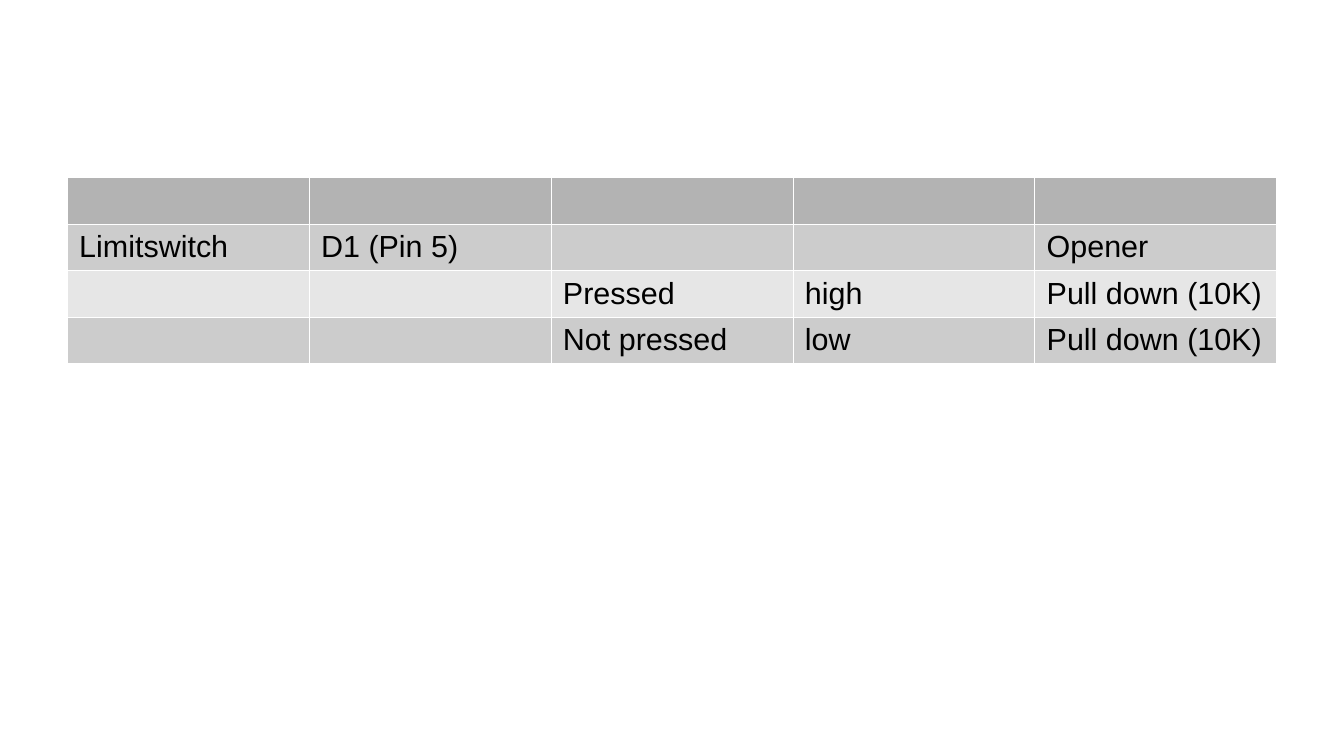
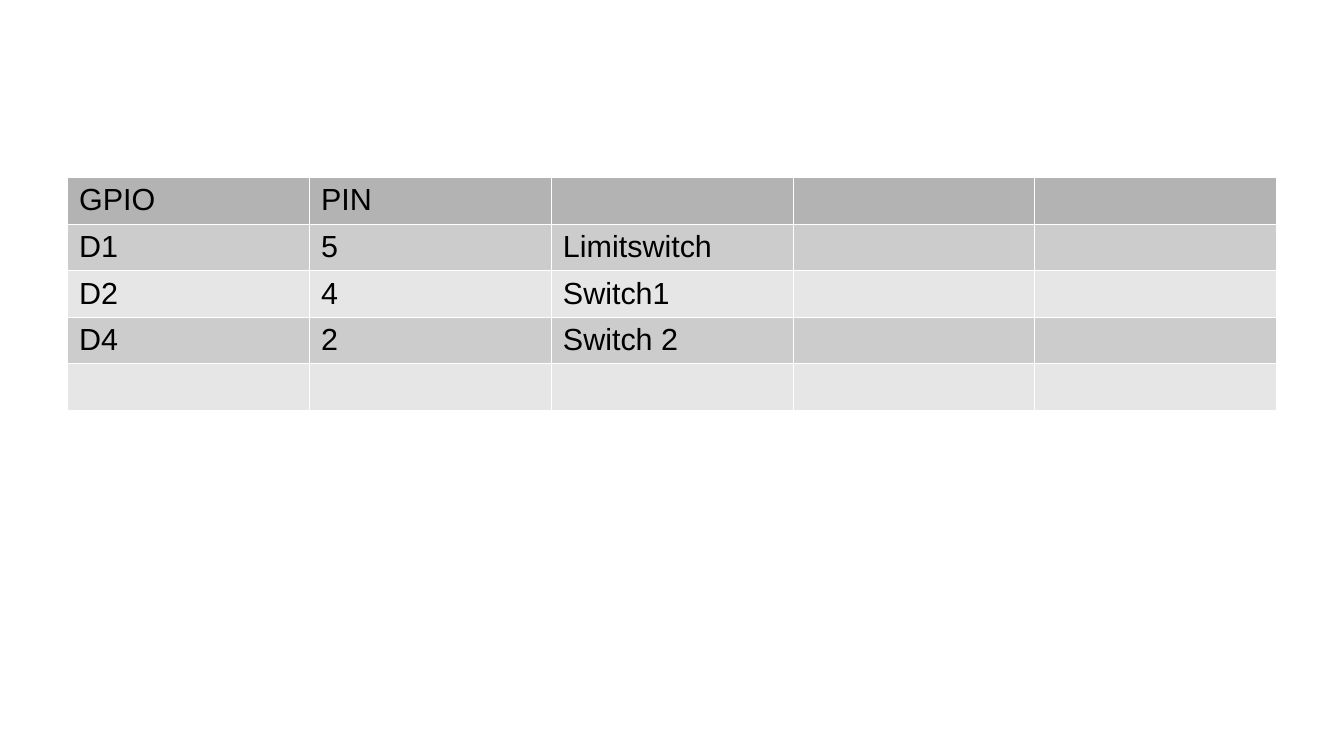
from dataclasses import dataclass

from lxml.etree import SubElement
from pptx import Presentation
from pptx.dml.color import RGBColor
from pptx.oxml.ns import qn
from pptx.presentation import Presentation as Deck
from pptx.table import _Cell as Cell
from pptx.util import Pt

FONT = "Arial"
TEXT_SIZE = 18
BLACK, WHITE = "000000", "FFFFFF"
HEADER_FILL = "B3B3B3"
BAND_FILLS = ("CCCCCC", "E6E6E6")
SLIDE_W, SLIDE_H = 793.7, 446.4
LEFT, TOP = 39.6, 104.6
COL_W, ROW_H = 142.85, 27.5
BORDER_W = 0.06


@dataclass(frozen=True)
class PinTable:
    rows: tuple[tuple[str, ...], ...]


TABLES = (
    PinTable((
        ("", "", "", "", ""),
        ("Limitswitch", "D1 (Pin 5)", "", "", "Opener"),
        ("", "", "Pressed", "high", "Pull down (10K)"),
        ("", "", "Not pressed", "low", "Pull down (10K)"),
    )),
    PinTable((
        ("GPIO", "PIN", "", "", ""),
        ("D1", "5", "Limitswitch", "", ""),
        ("D2", "4", "Switch1", "", ""),
        ("D4", "2", "Switch 2", "", ""),
        ("", "", "", "", ""),
    )),
)


def color(value: str) -> RGBColor:
    return RGBColor.from_string(value)


def set_borders(cell: Cell) -> None:
    props = cell._tc.get_or_add_tcPr()
    for i, side in enumerate(("lnL", "lnR", "lnT", "lnB")):
        line = SubElement(props, qn(f"a:{side}"), w=str(int(Pt(BORDER_W))))
        fill = SubElement(line, qn("a:solidFill"))
        SubElement(fill, qn("a:srgbClr"), val=WHITE)
        props.insert(i, line)


def format_cell(cell: Cell, text: str, fill: str) -> None:
    cell.fill.solid()
    cell.fill.fore_color.rgb = color(fill)
    set_borders(cell)
    cell.margin_left = cell.margin_right = Pt(7.2)
    cell.margin_top = cell.margin_bottom = Pt(3.6)
    cell.text_frame.text = text
    p = cell.text_frame.paragraphs[0]
    for font in (p.font, *(r.font for r in p.runs)):
        font.name = FONT
        font.size = Pt(TEXT_SIZE)
        font.bold = False
        font.color.rgb = color(BLACK)


def add_table_slide(prs: Deck, data: PinTable) -> None:
    s = prs.slides.add_slide(prs.slide_layouts[6])
    n_rows, n_cols = len(data.rows), len(data.rows[0])
    table = s.shapes.add_table(
        n_rows, n_cols, Pt(LEFT), Pt(TOP), Pt(n_cols * COL_W), Pt(n_rows * ROW_H)
    ).table
    for col in table.columns:
        col.width = Pt(COL_W)
    for i, texts in enumerate(data.rows):
        table.rows[i].height = Pt(ROW_H)
        fill = BAND_FILLS[(i - 1) % 2] if i else HEADER_FILL
        for j, text in enumerate(texts):
            format_cell(table.cell(i, j), text, fill)


def main() -> None:
    prs = Presentation()
    prs.slide_width, prs.slide_height = Pt(SLIDE_W), Pt(SLIDE_H)
    background = prs.slide_master.background.fill
    background.solid()
    background.fore_color.rgb = color(WHITE)
    for data in TABLES:
        add_table_slide(prs, data)
    prs.save("out.pptx")


if __name__ == "__main__":
    main()
